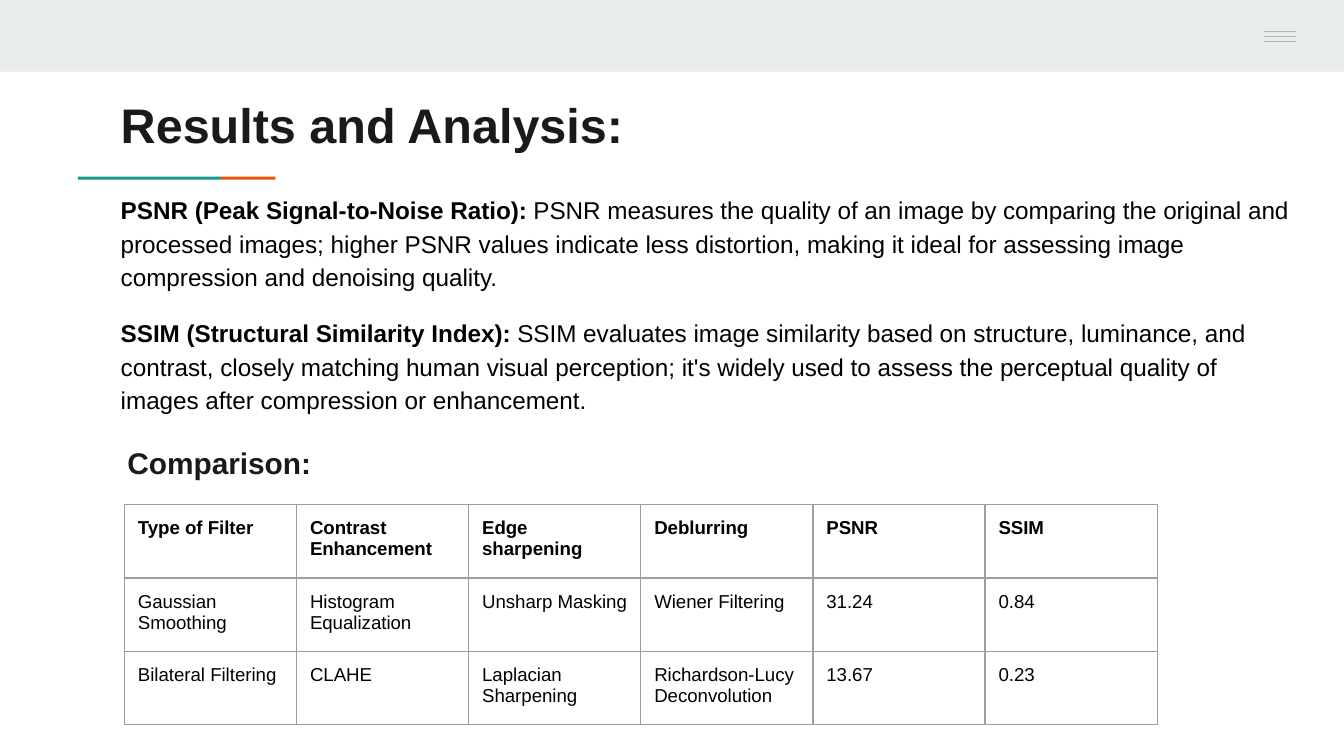
from dataclasses import dataclass

from lxml import etree
from pptx import Presentation
from pptx.dml.color import RGBColor
from pptx.enum.shapes import MSO_CONNECTOR, MSO_SHAPE
from pptx.oxml.ns import qn
from pptx.util import Inches, Pt

RECTANGLE = MSO_SHAPE.RECTANGLE
STRAIGHT = MSO_CONNECTOR.STRAIGHT
CELL = 0.1
COLUMNS, ROWS = 100, 56.25


@dataclass(frozen=True)
class Theme:
    font: str = "Arial"
    ink: str = "000000"
    heading: str = "1A1A1A"
    band: str = "E9EDEE"
    teal: str = "1A9988"
    orange: str = "EB5600"
    menu: str = "B7B7B7"
    border: str = "9E9E9E"
    title_size: int = 26
    subtitle_size: int = 16
    body_size: int = 13
    table_size: int = 10
    line_width: float = 0.75


def grid(*cells):
    return [Inches(cell * CELL) for cell in cells]


class SlideBuilder:
    def __init__(self, slide, theme):
        self.slide = slide
        self.theme = theme

    def style(self, font, size, color, bold=None):
        font.name = self.theme.font
        font.size = Pt(size)
        font.color.rgb = RGBColor.from_string(color)
        font.bold = bold

    def bar(self, box, color):
        shape = self.slide.shapes.add_shape(RECTANGLE, *grid(*box))
        shape.shadow.inherit = False
        shape.fill.solid()
        shape.fill.fore_color.rgb = RGBColor.from_string(color)
        shape.line.fill.background()

    def line(self, left, right, row):
        connector = self.slide.shapes.add_connector(STRAIGHT, *grid(left, row, right, row))
        connector.line.color.rgb = RGBColor.from_string(self.theme.menu)
        connector.line.width = Pt(self.theme.line_width)
        etree.SubElement(connector.element.spPr, qn("a:effectLst"))

    def text_frame(self, box):
        frame = self.slide.shapes.add_textbox(*grid(*box)).text_frame
        frame.word_wrap = True
        frame.margin_left = frame.margin_right = Inches(CELL)
        frame.margin_top = frame.margin_bottom = Inches(CELL)
        return frame

    def heading(self, box, text, size, spacing):
        paragraph = self.text_frame(box).paragraphs[0]
        paragraph.text = text
        paragraph.line_spacing = spacing
        self.style(paragraph.font, size, self.theme.heading, True)

    def definitions(self, box, entries):
        frame = self.text_frame(box)
        for index, (term, meaning) in enumerate(entries):
            paragraph = frame.add_paragraph() if index else frame.paragraphs[0]
            paragraph.line_spacing = 1.15
            if index:
                paragraph.space_before = Pt(12)
            self.style(paragraph.font, self.theme.body_size, self.theme.ink)
            for text, bold in ((term, True), (" " + meaning, False)):
                run = paragraph.add_run()
                run.text = text
                run.font.bold = bold

    def cell_borders(self, cell):
        properties = cell._tc.get_or_add_tcPr()
        for position, side in enumerate(("lnL", "lnR", "lnT", "lnB")):
            border = etree.Element(qn(f"a:{side}"), w=str(Pt(self.theme.line_width)))
            fill = etree.SubElement(border, qn("a:solidFill"))
            etree.SubElement(fill, qn("a:srgbClr"), val=self.theme.border)
            properties.insert(position, border)

    def table(self, left, top, column_width, row_height, rows):
        count = len(rows[0])
        box = grid(left, top, column_width * count, row_height * len(rows))
        table = self.slide.shapes.add_table(len(rows), count, *box).table
        table.first_row = table.horz_banding = False
        for column in table.columns:
            column.width = Inches(column_width * CELL)
        for row_index, values in enumerate(rows):
            table.rows[row_index].height = Inches(row_height * CELL)
            for column_index, value in enumerate(values):
                cell = table.cell(row_index, column_index)
                cell.fill.background()
                cell.margin_left = cell.margin_right = Inches(CELL)
                cell.margin_top = cell.margin_bottom = Inches(CELL)
                cell.text = value
                font = cell.text_frame.paragraphs[0].font
                self.style(font, self.theme.table_size, self.theme.ink, row_index == 0)
                self.cell_borders(cell)


def main():
    presentation = Presentation()
    presentation.slide_width, presentation.slide_height = grid(COLUMNS, ROWS)
    slide = presentation.slides.add_slide(presentation.slide_layouts[6])
    theme = Theme()
    builder = SlideBuilder(slide, theme)

    builder.bar((0, 0, COLUMNS, 5.33), theme.band)
    builder.bar((5.8, 13.15, 10.65, 0.22), theme.teal)
    builder.bar((16.45, 13.15, 4.05, 0.22), theme.orange)
    for index in range(3):
        builder.line(94.04, 96.4, 2.35 + index * 0.37)

    builder.heading((8, 6.1, 84.1, 5.9), "Results and Analysis:", theme.title_size, 1.0)
    builder.heading((8.5, 31.7, 17.1, 4.7), "Comparison:", theme.subtitle_size, 1.15)
    builder.table(9.26, 37.55, 12.81, 5.45, [
        ("Type of Filter", "Contrast Enhancement", "Edge sharpening", "Deblurring", "PSNR", "SSIM"),
        ("Gaussian Smoothing", "Histogram Equalization", "Unsharp Masking",
         "Wiener Filtering", "31.24", "0.84"),
        ("Bilateral Filtering", "CLAHE", "Laplacian Sharpening",
         "Richardson-Lucy Deconvolution", "13.67", "0.23"),
    ])
    builder.definitions((8, 13.22, 88.9, 18.5), [
        ("PSNR (Peak Signal-to-Noise Ratio):",
         "PSNR measures the quality of an image by comparing the original and processed images; "
         "higher PSNR values indicate less distortion, making it ideal for assessing image "
         "compression and denoising quality."),
        ("SSIM (Structural Similarity Index):",
         "SSIM evaluates image similarity based on structure, luminance, and contrast, closely "
         "matching human visual perception; it's widely used to assess the perceptual quality of "
         "images after compression or enhancement."),
    ])
    presentation.save("out.pptx")


if __name__ == "__main__":
    main()
